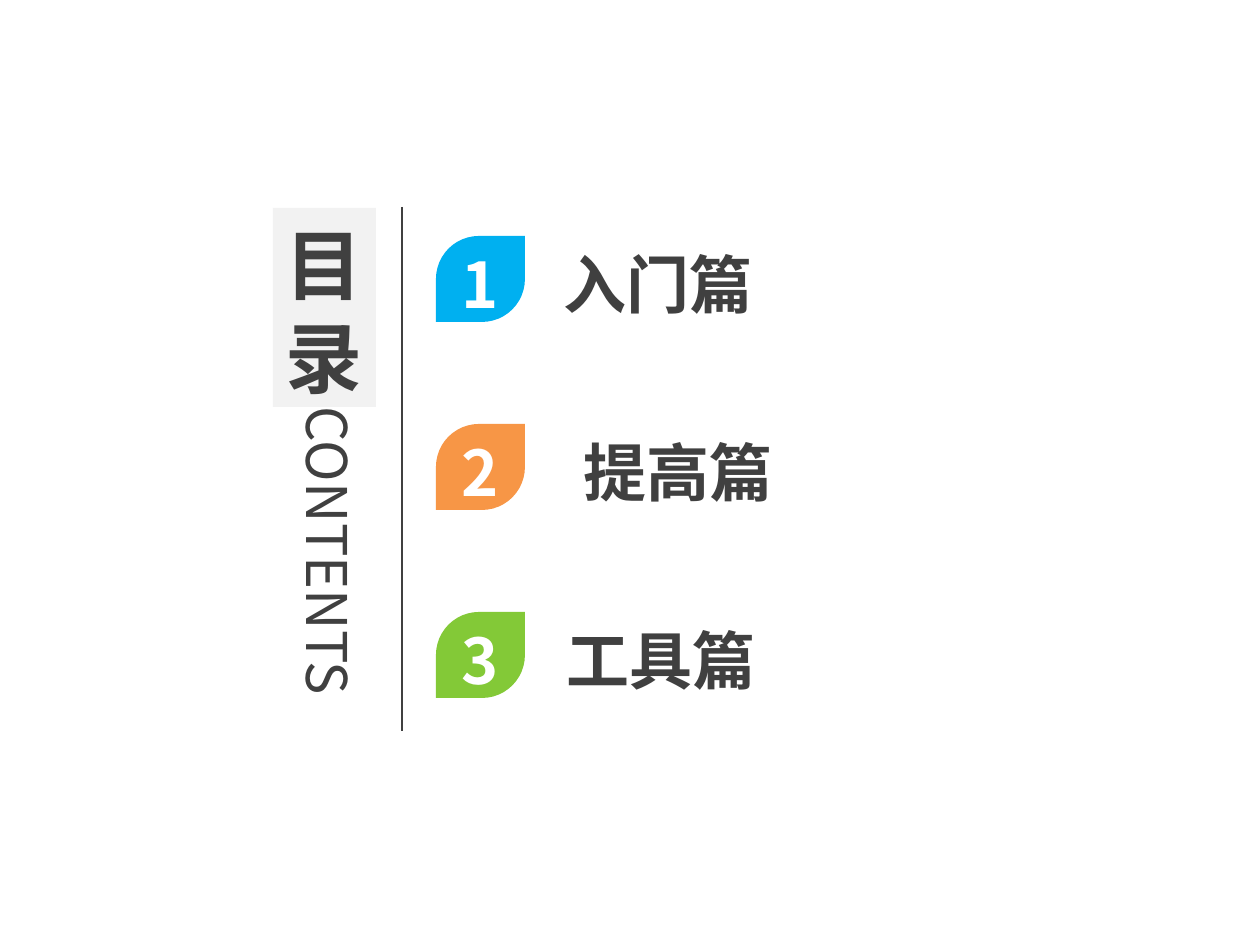
from lxml import etree
from pptx import Presentation
from pptx import util as u
from pptx.dml.color import RGBColor
from pptx.enum import shapes, text
from pptx.oxml import ns


def px(length):
    return u.Emu(round(length * 914400 / 126))


def color(code):
    return RGBColor.from_string(code)


class ContentsSlide:
    """Holds the style and the current slide, and draws each kind of element."""

    FONT = "Noto Sans CJK SC"
    INK = "404040"
    PANEL = "F2F2F2"
    WHITE = "FFFFFF"
    LINE_HEIGHT = 1.21

    def __init__(self, deck):
        self.page = deck.slides.add_slide(deck.slide_layouts[6])

    def set_words(self, box, words, size, ink=INK, bold=True, align=text.PP_ALIGN.LEFT):
        frame = box.text_frame
        frame.word_wrap = True
        frame.vertical_anchor = text.MSO_ANCHOR.TOP
        frame.margin_top = px(9)
        frame.text = words
        for para in frame.paragraphs:
            para.alignment = align
            para.line_spacing = u.Pt(round(size * self.LINE_HEIGHT))
            for span in para.runs:
                span.font.size = u.Pt(size)
                span.font.bold = bold
                span.font.color.rgb = color(ink)
                span.font.name = self.FONT
                east = etree.SubElement(span._r.get_or_add_rPr(), ns.qn("a:ea"))
                east.set("typeface", self.FONT)

    def label(self, words, left, top, width, height, size, **style):
        box = self.page.shapes.add_textbox(px(left), px(top), px(width), px(height))
        self.set_words(box, words, size, **style)
        return box

    def vertical_label(self, *args, **style):
        box = self.label(*args, **style)
        box.text_frame._txBody.bodyPr.set("vert", "eaVert")

    def block(self, kind, left, top, width, height, fill):
        box = self.page.shapes.add_shape(kind, px(left), px(top), px(width), px(height))
        box.shadow.inherit = False
        box.fill.solid()
        box.fill.fore_color.rgb = color(fill)
        box.line.fill.background()
        return box

    def panel(self, words, left, top, width, height, size):
        box = self.block(shapes.MSO_SHAPE.RECTANGLE, left, top, width, height, self.PANEL)
        self.set_words(box, words, size)

    def leaf(self, left, top, width, height, fill):
        box = self.block(shapes.MSO_SHAPE.ROUND_2_DIAG_RECTANGLE,
                         left, top, width, height, fill)
        box.adjustments[0] = 0.5
        box.adjustments[1] = 0

    def divider(self, x, top, bottom):
        line = self.page.shapes.add_connector(
            shapes.MSO_CONNECTOR.STRAIGHT, px(x), px(top), px(x), px(bottom))
        line.line.color.rgb = color(self.INK)
        line.line.width = u.Pt(1)
        etree.SubElement(line._element.spPr, ns.qn("a:effectLst"))

    def chapter(self, number, title, top, fill, title_left, title_width):
        self.leaf(436, top + 1, 89, 86, fill)
        self.label(str(number), 428, top, 105, 89, 36,
                   ink=self.WHITE, align=text.PP_ALIGN.CENTER)
        self.label(title, title_left, top, title_width, 89, 36)


def main():
    deck = Presentation()
    deck.slide_width, deck.slide_height = px(1260), px(945)
    contents = ContentsSlide(deck)

    contents.panel("目\n录", 273, 208, 103, 199, 44)
    contents.divider(402, 207, 731)
    contents.vertical_label("CONTENTS", 277, 398, 93, 370, 32, bold=False)

    chapters = [
        ("入门篇", "00B0F0", 551, 217),
        ("提高篇", "F79646", 571, 217),
        ("工具篇", "83C937", 554, 413),
    ]
    for index, (title, fill, left, width) in enumerate(chapters):
        contents.chapter(index + 1, title, 235 + 188 * index, fill, left, width)

    deck.save("out.pptx")


if __name__ == "__main__":
    main()
